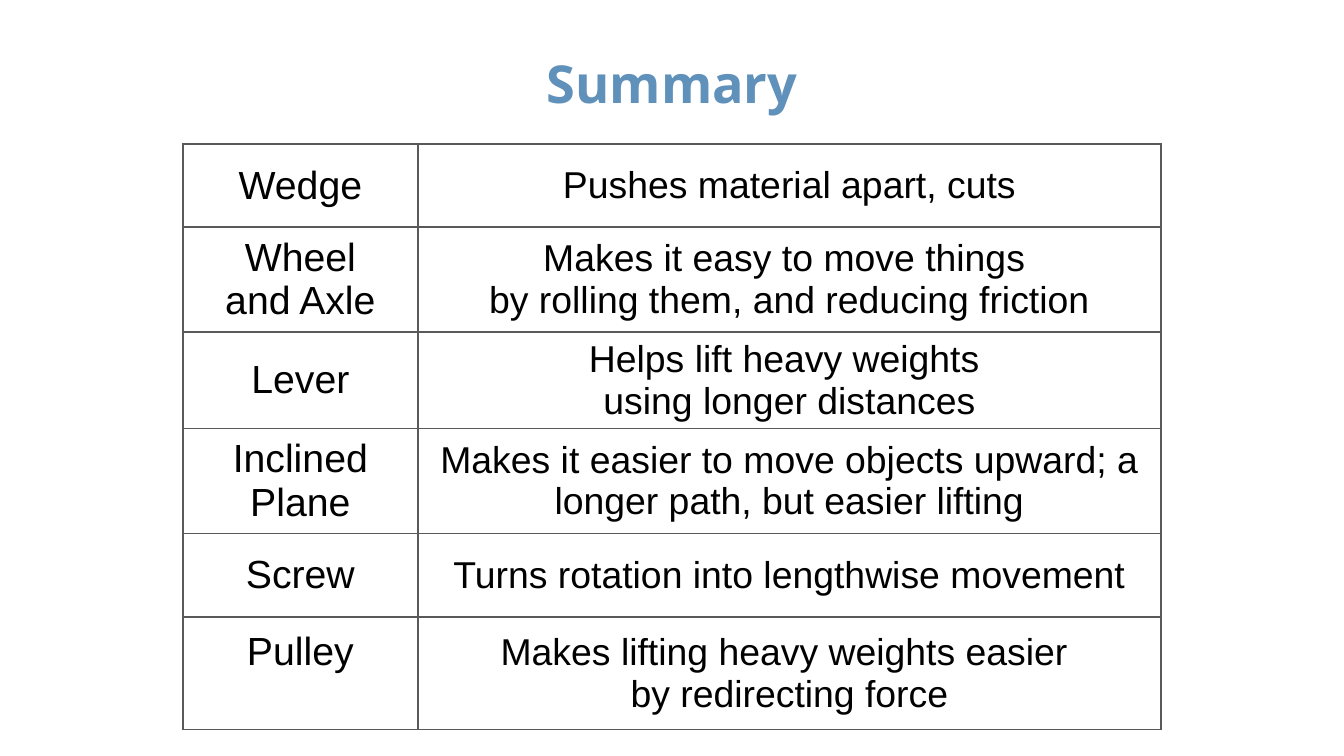
import pptx
import pptx.dml.color
import pptx.enum.text
import pptx.oxml
import pptx.util
from pptx.oxml.ns import nsdecls

Inches = pptx.util.Inches
Anchor = pptx.enum.text.MSO_ANCHOR

TITLE = "Summary"
MACHINES = [
    ("Wedge", "Pushes material apart, cuts", 0.62),
    ("Wheel\vand Axle", "Makes it easy to move things \vby rolling them, and reducing friction", 0.78),
    ("Lever", "Helps lift heavy weights \vusing longer distances", 0.72),
    ("Inclined Plane", "Makes it easier to move objects upward; a longer path, but easier lifting", 0.78),
    ("Screw", "Turns rotation into lengthwise movement", 0.62),
    ("Pulley", "Makes lifting heavy weights easier \vby redirecting force", 0.84),
]
COLUMN_WIDTHS = (1.75, 5.53)
COLUMN_SIZES = (21, 20)
SLIDE_WIDTH = 10
SLIDE_HEIGHT = SLIDE_WIDTH * 9 / 16
TABLE_LEFT, TABLE_TOP = 1.36, 1.07


def color(hex_value):
    return pptx.dml.color.RGBColor.from_string(hex_value)


def format_text(paragraph, font_name, size, hex_value, bold=False):
    paragraph.alignment = pptx.enum.text.PP_ALIGN.CENTER
    for run in paragraph.runs:
        run.font.name = font_name
        run.font.size = pptx.util.Pt(size)
        run.font.bold = bold
        run.font.color.rgb = color(hex_value)


def add_borders(cell, hex_value, width):
    properties = cell._tc.get_or_add_tcPr()
    for index, side in enumerate(("lnL", "lnR", "lnT", "lnB")):
        border = pptx.oxml.parse_xml(
            f'<a:{side} {nsdecls("a")} w="{pptx.util.Pt(width)}"><a:solidFill>'
            f'<a:srgbClr val="{hex_value}"/></a:solidFill></a:{side}>'
        )
        properties.insert(index, border)


def add_title(slide):
    title = slide.shapes.title
    title.left, title.top = Inches(0.34), Inches(0.3)
    title.width, title.height = Inches(9.32), Inches(0.63)
    frame = title.text_frame
    frame.text = TITLE
    frame.auto_size = pptx.enum.text.MSO_AUTO_SIZE.NONE
    frame.vertical_anchor = Anchor.MIDDLE
    frame.margin_left = frame.margin_right = Inches(0.1)
    frame.margin_top = frame.margin_bottom = Inches(0.1)
    format_text(frame.paragraphs[0], "Open Sans", 28, "6091BA", bold=True)


def add_machine_table(slide):
    table = slide.shapes.add_table(
        len(MACHINES), len(COLUMN_WIDTHS), Inches(TABLE_LEFT), Inches(TABLE_TOP),
        Inches(sum(COLUMN_WIDTHS)), Inches(sum(height for _, _, height in MACHINES)),
    ).table
    table.first_row = table.horz_banding = False
    for column, width in zip(table.columns, COLUMN_WIDTHS):
        column.width = Inches(width)
    for row, (name, purpose, height) in zip(table.rows, MACHINES):
        row.height = Inches(height)
        for cell, text, size in zip(row.cells, (name, purpose), COLUMN_SIZES):
            cell.fill.background()
            cell.vertical_anchor = Anchor.MIDDLE
            cell.margin_left = cell.margin_right = Inches(0.07)
            cell.margin_top = cell.margin_bottom = Inches(0.04)
            add_borders(cell, "595959", 1)
            paragraph = cell.text_frame.paragraphs[0]
            paragraph.text = text
            format_text(paragraph, "Arial", size, "000000")
    pulley_name = table.cell(len(MACHINES) - 1, 0)
    pulley_name.vertical_anchor = Anchor.TOP
    pulley_name.margin_top = Inches(0.1)


def main():
    presentation = pptx.Presentation()
    presentation.slide_width = Inches(SLIDE_WIDTH)
    presentation.slide_height = Inches(SLIDE_HEIGHT)
    slide = presentation.slides.add_slide(presentation.slide_layouts[5])
    slide.background.fill.solid()
    slide.background.fill.fore_color.rgb = color("FFFFFF")
    add_title(slide)
    add_machine_table(slide)
    presentation.save("out.pptx")


if __name__ == "__main__":
    main()
